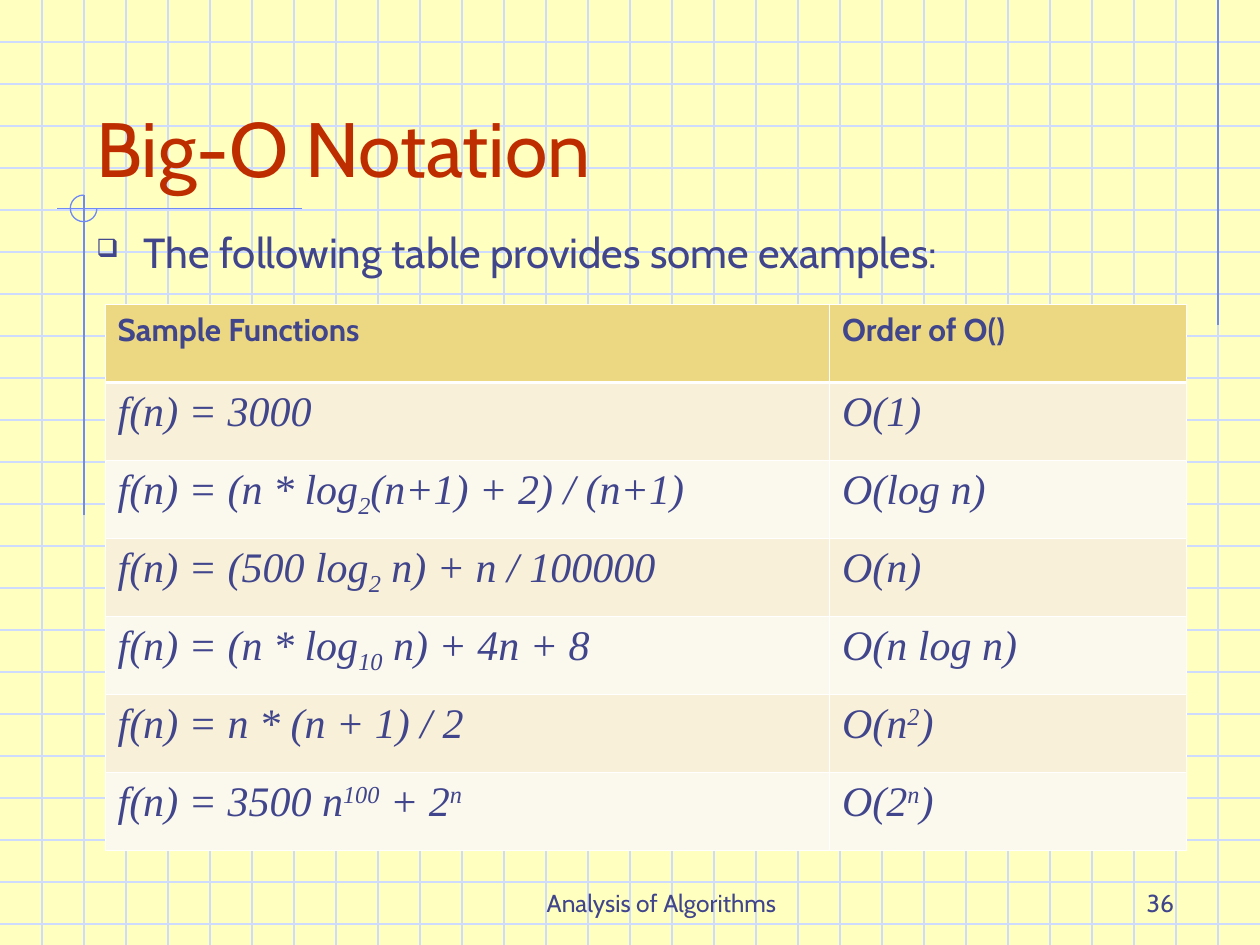
from lxml.etree import SubElement
from pptx import Presentation
from pptx.dml.color import RGBColor
from pptx.enum.shapes import MSO_CONNECTOR, MSO_SHAPE
from pptx.enum.text import MSO_ANCHOR, PP_ALIGN
from pptx.oxml.ns import qn
from pptx.util import Pt

COLORS = {
    "paper": "FFFFBF", "grid": "CFDBFD", "rule": "6F89F7", "title": "BE2D00",
    "text": "40458C", "head": "ECD882", "odd": "F8F0D8", "even": "FBF8ED",
    "edge": "FFFFFF",
}
SUB, SUP = -25, 30
WIDTH, HEIGHT, STEP = 720, 540, 24

TITLE = "Big-O Notation"
INTRO = "The following table provides some examples:"
FOOTER = "Analysis of Algorithms"
NUMBER = "36"
HEADS = ["Sample Functions", "Order of O()"]
ROWS = [
    (["f(n) = 3000"], ["O(1)"]),
    (["f(n) = (n * log", ("2", SUB), "(n+1) + 2) / (n+1)"], ["O(log n)"]),
    (["f(n) = (500 log", ("2", SUB), " n) + n / 100000"], ["O(n)"]),
    (["f(n) = (n * log", ("10", SUB), " n) + 4n + 8"], ["O(n log n)"]),
    (["f(n) = n * (n + 1) / 2"], ["O(n", ("2", SUP), ")"]),
    (["f(n) = 3500 n", ("100", SUP), " + 2", ("n", SUP)],
     ["O(2", ("n", SUP), ")"]),
]
COLS = [414, 204]
TABLE_AT = (60, 174, sum(COLS), 312)
RULES = [(696, 0, 696, 186), (172.8, 119.2, 32.4, 119.2), (48, 111.5, 48, 294.5)]


def rgb(name):
    return RGBColor.from_string(COLORS[name])


def write(frame, parts, size=24, color="text", face="Cabin", bold=False,
          italic=False, align=PP_ALIGN.LEFT, bullet=None):
    para = frame.paragraphs[0]
    para.alignment = align
    if bullet:
        props = para._p.get_or_add_pPr()
        props.set("marL", str(Pt(27)))
        props.set("indent", str(-Pt(27)))
        tint = SubElement(props, qn("a:buClr"))
        SubElement(tint, qn("a:srgbClr"), val=COLORS[color])
        SubElement(props, qn("a:buSzPct"), val="60000")
        SubElement(props, qn("a:buChar"), char=bullet)
    for part in [parts] if isinstance(parts, str) else parts:
        text, shift = (part, 0) if isinstance(part, str) else part
        run = para.add_run()
        run.text = text
        font = run.font
        font.size, font.name = Pt(size), face
        font.bold, font.italic = bold, italic
        font.color.rgb = rgb(color)
        if shift:
            run._r.get_or_add_rPr().set("baseline", str(shift * 1000))


def add_text(slide, text, box, anchor=MSO_ANCHOR.BOTTOM, **style):
    frame = slide.shapes.add_textbox(*map(Pt, box)).text_frame
    frame.word_wrap = True
    frame.vertical_anchor = anchor
    write(frame, text, **style)


def add_line(slide, ends, color):
    line = slide.shapes.add_connector(MSO_CONNECTOR.STRAIGHT, *map(Pt, ends))
    line.line.color.rgb = rgb(color)
    line.line.width = Pt(0.75)
    SubElement(line._element.spPr, qn("a:effectLst"))


def add_edges(cell, top, bottom):
    props = cell._tc.get_or_add_tcPr()
    for side, width in zip("LRTB", (0.45, 0.45, top, bottom)):
        edge = SubElement(props, qn("a:ln" + side), w=str(Pt(width)))
        fill = SubElement(edge, qn("a:solidFill"))
        SubElement(fill, qn("a:srgbClr"), val=COLORS["edge"])


def add_grid(slide):
    for y in range(STEP, HEIGHT, STEP):
        add_line(slide, (0, y, WIDTH, y), "grid")
    for x in range(STEP, WIDTH, STEP):
        add_line(slide, (x, 0, x, HEIGHT), "grid")
    for ends in RULES:
        add_line(slide, ends, "rule")
    arc = slide.shapes.add_shape(MSO_SHAPE.ARC, Pt(40.2), Pt(111.5), Pt(15.2), Pt(15.2))
    arc.adjustments[0], arc.adjustments[1] = 0, 162
    arc.shadow.inherit = False
    arc.fill.background()
    arc.line.color.rgb = rgb("rule")
    arc.line.width = Pt(0.75)


def fill_table(slide):
    lines = [HEADS, *ROWS]
    table = slide.shapes.add_table(len(lines), len(COLS), *map(Pt, TABLE_AT)).table
    for col, width in zip(table.columns, COLS):
        col.width = Pt(width)
    for i, line in enumerate(lines):
        table.rows[i].height = Pt(TABLE_AT[3] / len(lines))
        shade = "head" if i == 0 else "odd" if i % 2 else "even"
        style = (dict(size=18, bold=True) if i == 0
                 else dict(face="Times New Roman", italic=True))
        for j, parts in enumerate(line):
            cell = table.cell(i, j)
            add_edges(cell, 1.47 if i == 1 else 0.45, 1.47 if i == 0 else 0.45)
            cell.fill.solid()
            cell.fill.fore_color.rgb = rgb(shade)
            write(cell.text_frame, parts, **style)


def main():
    deck = Presentation()
    deck.slide_width, deck.slide_height = Pt(WIDTH), Pt(HEIGHT)
    slide = deck.slides.add_slide(deck.slide_layouts[6])
    slide.background.fill.solid()
    slide.background.fill.fore_color.rgb = rgb("paper")
    add_grid(slide)
    add_text(slide, FOOTER, (264, 492, 228, 36), size=14, align=PP_ALIGN.CENTER)
    add_text(slide, NUMBER, (528, 492, 150, 36), size=14, align=PP_ALIGN.RIGHT)
    add_text(slide, TITLE, (48, 24, 612, 90), size=44, color="title")
    add_text(slide, INTRO, (48, 126, 600, 396), anchor=MSO_ANCHOR.TOP, bullet="❑")
    fill_table(slide)
    deck.save("out.pptx")


if __name__ == "__main__":
    main()
